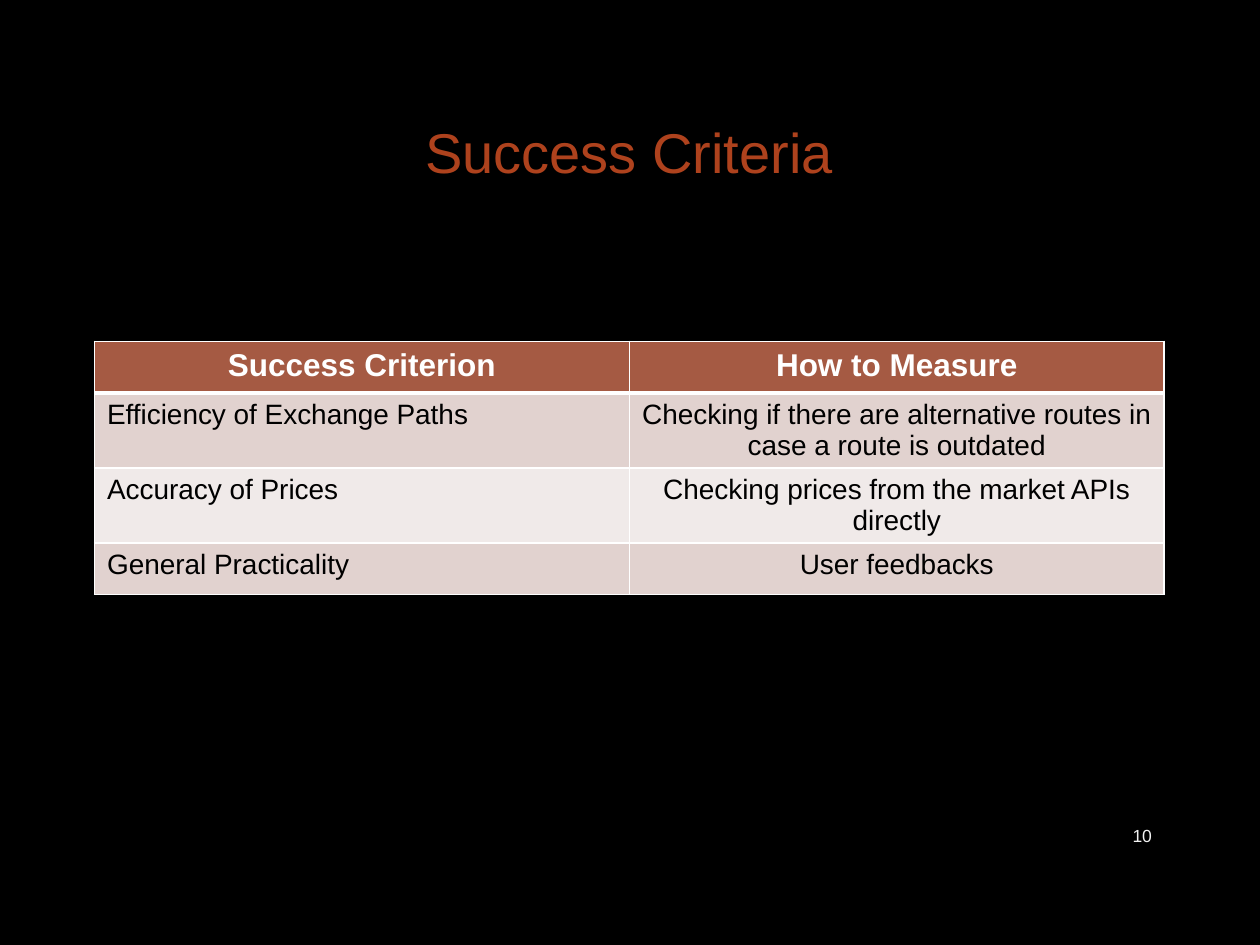
"""Build the success criteria slide."""
import pptx
import pptx.util
import pptx.oxml
import pptx.oxml.ns
import pptx.dml.color
import pptx.enum.text

Inches = pptx.util.Inches
Pt = pptx.util.Pt
Align = pptx.enum.text.PP_ALIGN
Anchor = pptx.enum.text.MSO_ANCHOR

COLORS = {
    "back": "000000", "title": "AE421D", "head": "A55A43",
    "odd": "E1D2CF", "even": "F0EAE9", "white": "FFFFFF",
    "dark": "000000", "number": "F2F2F2",
}
ROWS = [
    ("Success Criterion", "How to Measure"),
    ("Efficiency of Exchange Paths",
     "Checking if there are alternative routes in case a route is outdated"),
    ("Accuracy of Prices", "Checking prices from the market APIs directly"),
    ("General Practicality", "User feedbacks"),
]


class Deck:
    def __init__(self):
        self.font = "Arial"
        self.file = pptx.Presentation()
        self.file.slide_width = Inches(10)
        self.file.slide_height = Inches(7.5)
        self.slide = self.file.slides.add_slide(self.file.slide_layouts[5])
        self.paint(self.slide.background.fill, "back")

    def color(self, name):
        return pptx.dml.color.RGBColor.from_string(COLORS[name])

    def paint(self, fill, name):
        fill.solid()
        fill.fore_color.rgb = self.color(name)

    def style(self, frame, text, size, color, align, bold=False):
        frame.text = text
        frame.word_wrap = True
        line = frame.paragraphs[0]
        line.alignment = align
        for run in line.runs:
            run.font.name = self.font
            run.font.size = Pt(size)
            run.font.bold = bold
            run.font.color.rgb = self.color(color)

    def title(self, text, left, top, width, height):
        shape = self.slide.shapes.title
        shape.left, shape.top = Inches(left), Inches(top)
        shape.width, shape.height = Inches(width), Inches(height)
        shape.text_frame.vertical_anchor = Anchor.MIDDLE
        self.style(shape.text_frame, text, 32, "title", Align.CENTER)

    def label(self, text, left, top, width, height):
        box = self.slide.shapes.add_textbox(
            Inches(left), Inches(top), Inches(width), Inches(height))
        box.text_frame.vertical_anchor = Anchor.MIDDLE
        self.style(box.text_frame, text, 10, "number", Align.RIGHT)

    def border(self, cell, row):
        widths = {"L": 1, "R": 1, "T": 3 if row == 1 else 1,
                  "B": 3 if row == 0 else 1}
        props = cell._tc.get_or_add_tcPr()
        for side, width in widths.items():
            props.append(pptx.oxml.parse_xml(
                f'<a:ln{side} {pptx.oxml.ns.nsdecls("a")} w="{Pt(width)}">'
                f'<a:solidFill><a:srgbClr val="{COLORS["white"]}"/>'
                f'</a:solidFill></a:ln{side}>'))

    def table(self, rows, left, top, width, height):
        grid = self.slide.shapes.add_table(
            len(rows), len(rows[0]), Inches(left), Inches(top),
            Inches(width), Inches(height * len(rows))).table
        for row, texts in enumerate(rows):
            head = row == 0
            fill = "head" if head else "odd" if row % 2 else "even"
            for col, text in enumerate(texts):
                cell = grid.cell(row, col)
                self.border(cell, row)
                self.paint(cell.fill, fill)
                align = Align.CENTER if head or col else Align.JUSTIFY
                self.style(cell.text_frame, text, 18 if head else 16,
                           "white" if head else "dark", align, head)

    def save(self):
        self.file.save("out.pptx")


def main():
    deck = Deck()
    deck.title("Success Criteria", 0.75, 0.67, 8.49, 1.06)
    deck.table(ROWS, 0.75, 2.71, 8.49, 0.41)
    deck.label("10", 8.62, 6.43, 0.62, 0.4)
    deck.save()


if __name__ == "__main__":
    main()
